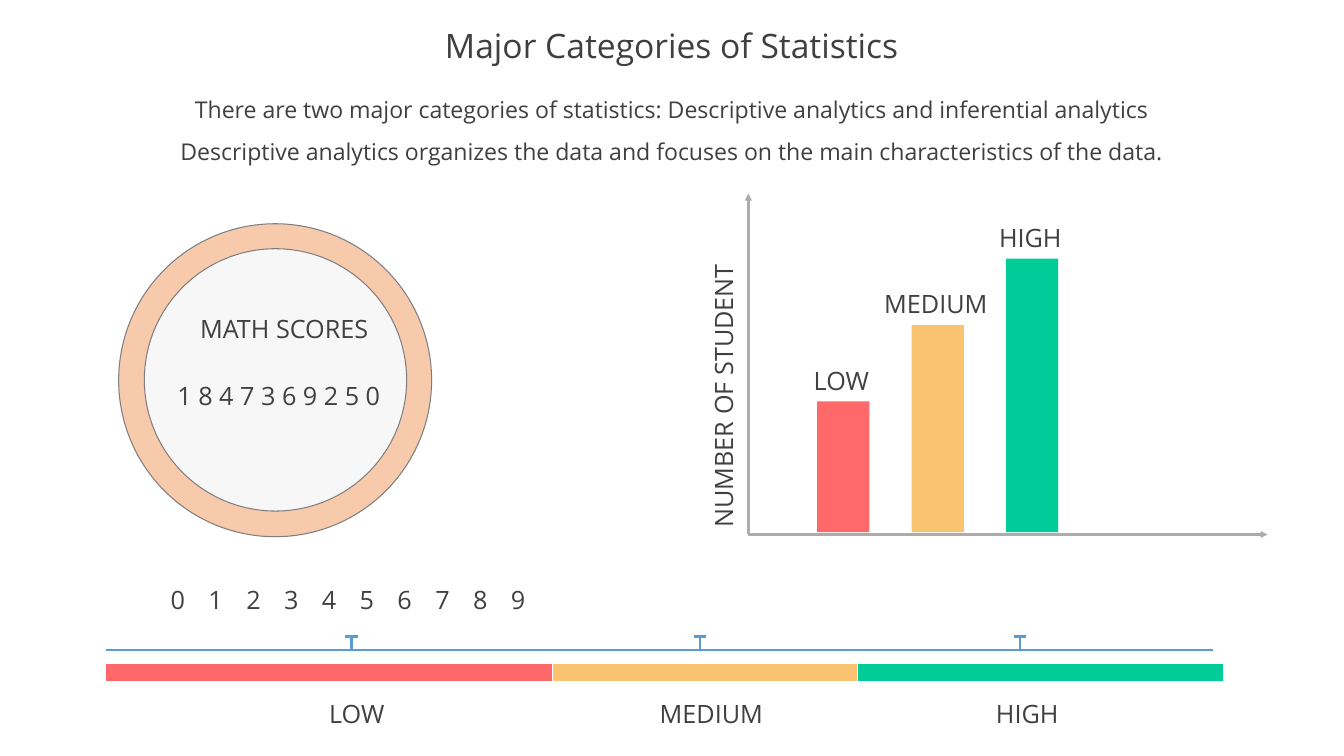
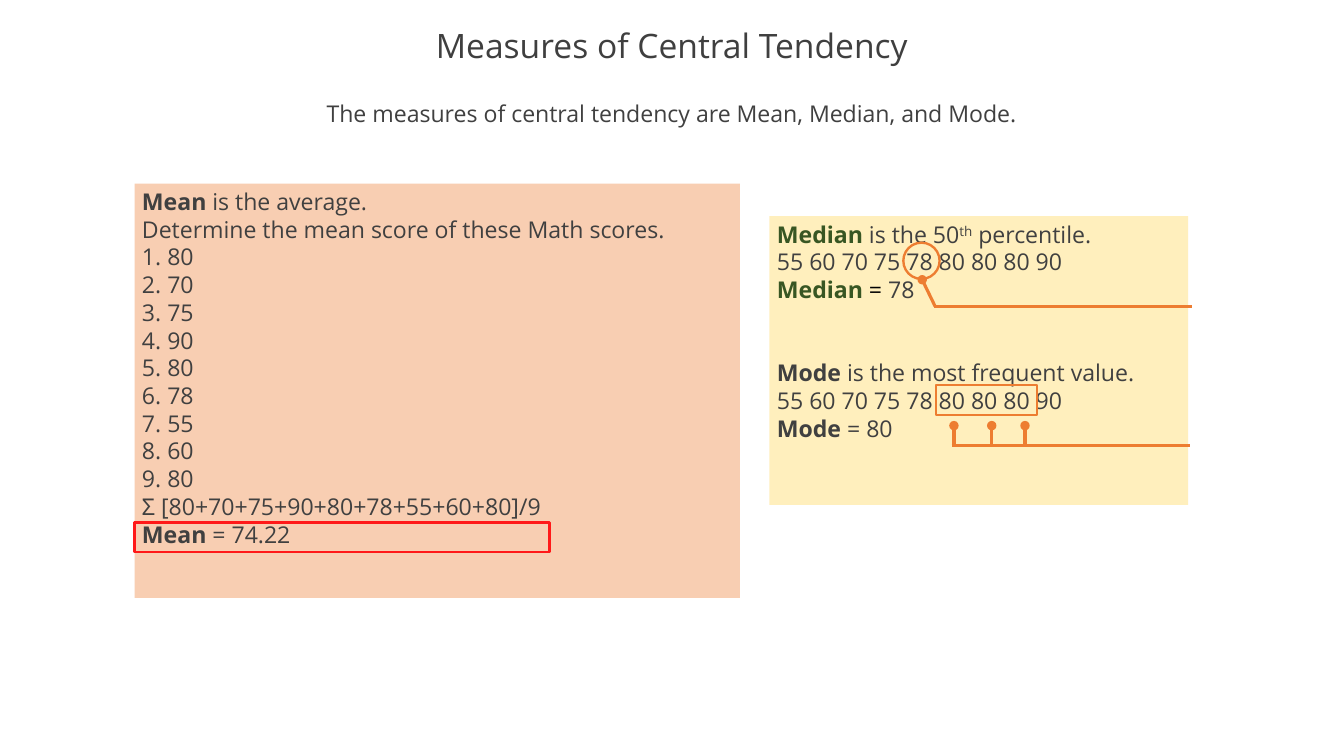
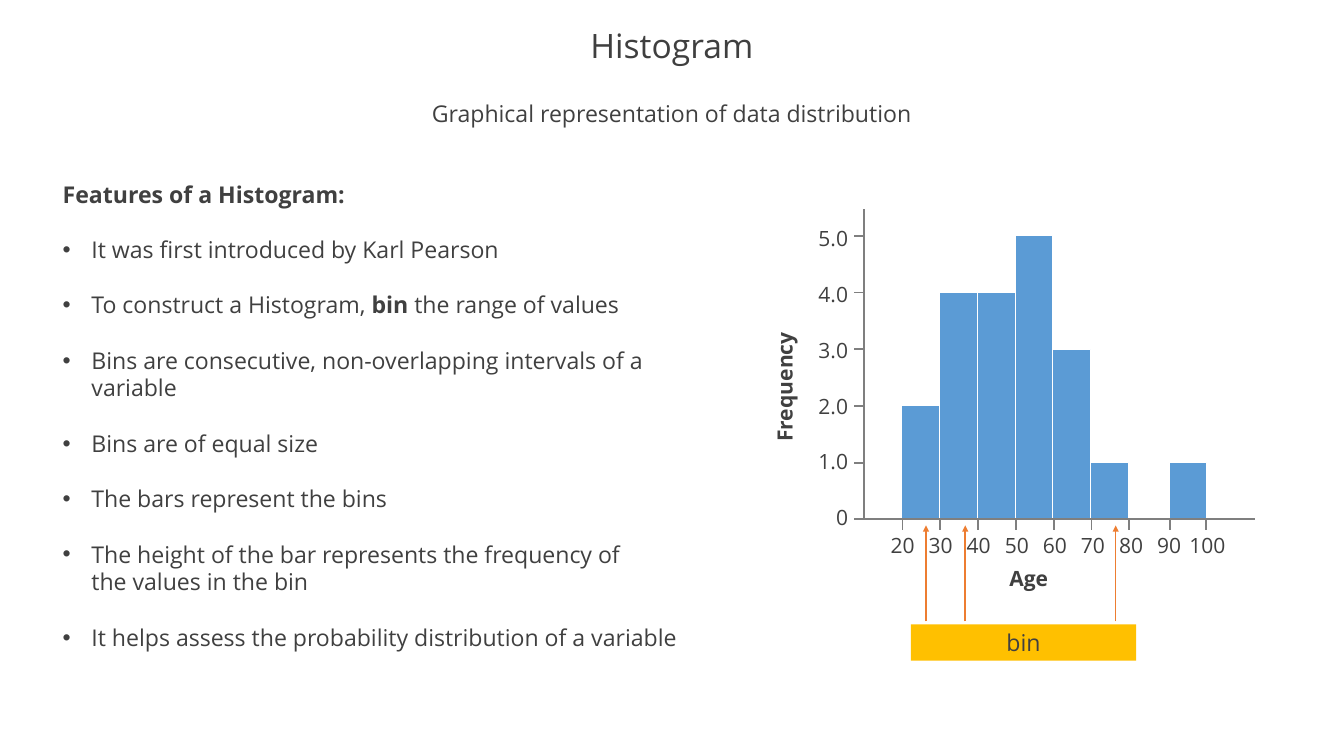
"""Build three statistics slides: categories, central tendency and histogram."""
from dataclasses import dataclass
from typing import Optional

from lxml import etree
from pptx import Presentation
from pptx.dml.color import RGBColor
from pptx.enum.shapes import MSO_CONNECTOR, MSO_SHAPE
from pptx.enum.text import MSO_ANCHOR, MSO_AUTO_SIZE, PP_ALIGN
from pptx.oxml.ns import qn
from pptx.util import Inches, Pt

RECTANGLE, OVAL = MSO_SHAPE.RECTANGLE, MSO_SHAPE.OVAL
STRAIGHT = MSO_CONNECTOR.STRAIGHT
TOP, MIDDLE = MSO_ANCHOR.TOP, MSO_ANCHOR.MIDDLE
LEFT, CENTER, RIGHT = PP_ALIGN.LEFT, PP_ALIGN.CENTER, PP_ALIGN.RIGHT

COLUMNS, ROWS = 17.78, 10
CELL = Inches(1)
FONT = "Open Sans"
BODY_SIZE, LABEL_SIZE, AXIS_SIZE, TITLE_SIZE = 22, 24, 20, 32
BODY_LINE = 26.4
INDENT = 0.38
TITLE_AND_BODY, TITLE_AND_TWO_BODIES = 1, 3

COLORS = {
    "text": "404040", "title": "3F3F3F", "black": "000000", "green_text": "385623",
    "low": "FF6969", "medium": "FAC36F", "high": "00CC99",
    "ring": "F7CAAC", "disc": "F7F7F7", "gray": "7F7F7F", "axis": "AEABAB",
    "blue": "5B9BD5", "white": "FFFFFF", "orange": "ED7D31", "red": "FF1919",
    "mean": "F8CEB2", "median": "FFEFBD", "bin": "FFC000",
}


@dataclass(frozen=True)
class Box:
    """A place on the grid, in columns and rows."""
    left: float
    top: float
    width: float
    height: float

    def lengths(self) -> tuple:
        """Return the place as slide lengths."""
        return tuple(round(CELL * value) for value in (self.left, self.top, self.width, self.height))


@dataclass(frozen=True)
class Run:
    """A piece of text with its own look."""
    text: str
    bold: bool = False
    color: Optional[str] = None
    raised: bool = False


@dataclass(frozen=True)
class Paragraph:
    """A line made of runs, with the gap above it in points."""
    runs: tuple
    before: float = 0
    bullet: bool = False


@dataclass(frozen=True)
class Level:
    """A score level with its bar, band and pointer."""
    name: str
    color: str
    bar_height: float
    band_left: float
    band_right: float
    pointer: float
    label_center: float


LEVELS = (
    Level("LOW", "low", 1.73, 1.4, 7.31, 4.65, 4.72),
    Level("MEDIUM", "medium", 2.74, 7.31, 11.34, 9.26, 9.41),
    Level("HIGH", "high", 3.62, 11.34, 16.18, 13.49, 13.59),
)


def rgb(name: str) -> RGBColor:
    """Look up a colour."""
    return RGBColor.from_string(COLORS[name])


def add_bullet(properties, bullet: bool) -> None:
    """Give a paragraph a hanging bullet, or none."""
    indent = round(CELL * INDENT) if bullet else 0
    properties.set("marL", str(indent))
    properties.set("indent", str(-indent))
    if bullet:
        color = etree.SubElement(properties, qn("a:buClr"))
        etree.SubElement(color, qn("a:srgbClr")).set("val", COLORS["text"])
        etree.SubElement(properties, qn("a:buFont")).set("typeface", "Arial")
        etree.SubElement(properties, qn("a:buChar")).set("char", "•")
    else:
        etree.SubElement(properties, qn("a:buNone"))


def write_text(shape, content, *, size: float = BODY_SIZE, color: str = "text", bold: bool = False,
               alignment=LEFT, anchor=TOP, inset: float = 0.1, line_spacing: float = 1,
               tabs: tuple = ()) -> None:
    """Fill a shape with a string or a list of paragraphs."""
    frame = shape.text_frame
    frame.word_wrap = True
    frame.auto_size = MSO_AUTO_SIZE.NONE
    frame.vertical_anchor = anchor
    frame.margin_left = frame.margin_right = Inches(inset)
    frame.margin_top = frame.margin_bottom = Inches(0.05)
    lines = [Paragraph((Run(content, bold),))] if isinstance(content, str) else content
    for number, line in enumerate(lines):
        paragraph = frame.add_paragraph() if number else frame.paragraphs[0]
        paragraph.alignment = alignment
        paragraph.line_spacing = line_spacing
        paragraph.space_before = Pt(line.before)
        paragraph.space_after = Pt(0)
        properties = paragraph._p.get_or_add_pPr()
        add_bullet(properties, line.bullet)
        if tabs:
            stops = etree.SubElement(properties, qn("a:tabLst"))
            for position in tabs:
                stop = etree.SubElement(stops, qn("a:tab"))
                stop.set("pos", str(round(CELL * position)))
                stop.set("algn", "l")
        for piece in line.runs:
            for part, text in enumerate(piece.text.split("\v")):
                if part:
                    paragraph.add_line_break()
                run = paragraph.add_run()
                run.text = text
                run.font.name = FONT
                run.font.size = Pt(size)
                run.font.bold = piece.bold
                run.font.color.rgb = rgb(piece.color or color)
                if piece.raised:
                    run._r.get_or_add_rPr().set("baseline", "30000")


def add_label(slide, box: Box, content, *, rotation: float = 0, **text_format) -> None:
    """Add a text box."""
    shape = slide.shapes.add_textbox(*box.lengths())
    shape.rotation = rotation
    write_text(shape, content, **text_format)


def add_figure(slide, kind, box: Box, *, fill: Optional[str] = None, line: Optional[str] = None,
               weight: float = 1):
    """Add a flat preset shape."""
    shape = slide.shapes.add_shape(kind, *box.lengths())
    shape.shadow.inherit = False
    if fill:
        shape.fill.solid()
        shape.fill.fore_color.rgb = rgb(fill)
    else:
        shape.fill.background()
    if line:
        shape.line.color.rgb = rgb(line)
        shape.line.width = Pt(weight)
    else:
        shape.line.fill.background()
    return shape


def add_line(slide, start: tuple, end: tuple, *, color: str, weight: float,
             tail: Optional[str] = None) -> None:
    """Add a straight line with an optional end mark."""
    ends = [round(CELL * value) for value in (*start, *end)]
    connector = slide.shapes.add_connector(STRAIGHT, *ends)
    connector.line.color.rgb = rgb(color)
    connector.line.width = Pt(weight)
    if tail:
        etree.SubElement(connector.line._get_or_add_ln(), qn("a:tailEnd")).set("type", tail)
    etree.SubElement(connector._element.spPr, qn("a:effectLst"))


def place_text(shape, box: Box, content, **text_format) -> None:
    """Move a placeholder and write in it."""
    shape.left, shape.top, shape.width, shape.height = box.lengths()
    write_text(shape, content, **text_format)


def add_titled_slide(presentation, title: str, subtitle, *, subtitle_top: float = 1.26,
                     layout: int = TITLE_AND_BODY):
    """Add a slide with the shared title and subtitle."""
    slide = presentation.slides.add_slide(presentation.slide_layouts[layout])
    place_text(slide.shapes.title, Box(0, 0.25, COLUMNS, 0.75), title, size=TITLE_SIZE,
               color="title", alignment=CENTER, anchor=MIDDLE, line_spacing=0.9)
    place_text(slide.placeholders[1], Box(0.97, subtitle_top, 15.83, 1.22), subtitle,
               alignment=CENTER)
    return slide


def draw_level_chart(slide) -> None:
    """Draw the bars of student numbers and their axes."""
    origin = (9.9, 7.07)
    bar_left, bar_width, bar_step, base = 10.81, 0.69, 1.25, 7.04
    add_line(slide, origin, (9.9, 2.56), color="axis", weight=2.25, tail="triangle")
    add_line(slide, origin, (16.77, 7.07), color="axis", weight=2.25, tail="triangle")
    for number, level in enumerate(LEVELS):
        left, top = bar_left + number * bar_step, base - level.bar_height
        add_figure(slide, RECTANGLE, Box(left, top, bar_width, level.bar_height), fill=level.color)
        add_label(slide, Box(left + bar_width / 2 - 0.83, top - 0.53, 1.61, 0.51), level.name,
                  size=LABEL_SIZE, alignment=CENTER, inset=0)
    add_label(slide, Box(7.61, 4.87, 3.91, 0.5), "NUMBER OF STUDENT", rotation=270, size=LABEL_SIZE)


def draw_score_scale(slide) -> None:
    """Draw the number line with its three bands."""
    line_top, pointer_top, half_cap = 8.6, 8.42, 0.08
    add_label(slide, Box(2.16, 7.68, 14.48, 0.5), "\t".join(str(score) for score in range(10)),
              size=LABEL_SIZE, tabs=(1.49, 2.8, 4.2, 5.52, 6.92, 8.31, 9.98, 11.29, 12.77))
    add_line(slide, (1.4, line_top), (16.05, line_top), color="blue", weight=2.25)
    for level in LEVELS:
        band = Box(level.band_left, 8.77, level.band_right - level.band_left, 0.24)
        add_figure(slide, RECTANGLE, band, fill=level.color, line="white")
        add_line(slide, (level.pointer, line_top), (level.pointer, pointer_top),
                 color="blue", weight=2.25)
        add_line(slide, (level.pointer - half_cap, pointer_top),
                 (level.pointer + half_cap, pointer_top), color="blue", weight=2.25)
        add_label(slide, Box(level.label_center - 0.8, 9.19, 1.6, 0.51), level.name,
                  size=LABEL_SIZE, alignment=CENTER, inset=0)


def build_categories(presentation) -> None:
    """Build the slide on categories of statistics."""
    slide = add_titled_slide(presentation, "Major Categories of Statistics", [
        Paragraph((Run("There are two major categories of statistics: "
                       "Descriptive analytics and inferential analytics"),)),
        Paragraph((Run("Descriptive analytics organizes the data and focuses on "
                       "the main characteristics of the data.", color="title"),), before=13.3),
    ], subtitle_top=1.21)
    add_figure(slide, OVAL, Box(1.57, 2.96, 4.14, 4.14), fill="ring", line="gray")
    add_figure(slide, OVAL, Box(1.91, 3.29, 3.47, 3.47), fill="disc", line="gray")
    draw_score_scale(slide)
    draw_level_chart(slide)
    add_label(slide, Box(2.23, 4.1, 3.06, 0.93), "MATH SCORES", size=LABEL_SIZE, alignment=CENTER)
    add_label(slide, Box(2.16, 4.98, 3.06, 0.93), "1 8 4 7 3 6 9 2 5 0", size=LABEL_SIZE,
              alignment=CENTER)


def build_central_tendency(presentation) -> None:
    """Build the slide on mean, median and mode."""
    slide = add_titled_slide(presentation, "Measures of Central Tendency",
                             "The measures of central tendency are Mean, Median, and Mode.")
    scores = (80, 70, 75, 90, 80, 78, 55, 60, 80)
    ranked = Paragraph((Run(" ".join(str(score) for score in sorted(scores))),))
    mean_panel = add_figure(slide, RECTANGLE, Box(1.78, 2.43, 8.01, 5.48), fill="mean")
    write_text(mean_panel, [
        Paragraph((Run("Mean", True), Run(" is the average."))),
        Paragraph((Run("Determine the mean score of these Math scores."),)),
        *(Paragraph((Run(f"{number}. {score}"),)) for number, score in enumerate(scores, 1)),
        Paragraph((Run(f"Ʃ [{'+'.join(str(score) for score in scores)}]/9"),)),
        Paragraph((Run("Mean", True), Run(" = 74.22"))),
    ])
    median_panel = add_figure(slide, RECTANGLE, Box(10.18, 2.86, 5.54, 3.82), fill="median")
    median = Run("Median ", True, "green_text")
    mode = Run("Mode ", True)
    write_text(median_panel, [
        Paragraph((median, Run("is the 50"), Run("th", raised=True), Run(" percentile."))),
        ranked,
        Paragraph((median, Run("= ", color="black"), Run("78"))),
        Paragraph((mode, Run("is the most frequent value.")), before=2 * BODY_LINE),
        ranked,
        Paragraph((mode, Run("= 80"))),
    ])
    add_figure(slide, RECTANGLE, Box(1.78, 6.91, 5.49, 0.39), line="red", weight=2.25)
    add_figure(slide, OVAL, Box(11.95, 3.21, 0.48, 0.48), line="orange", weight=2.25)
    add_figure(slide, RECTANGLE, Box(12.38, 5.09, 1.34, 0.4), line="orange", weight=2.25)
    add_line(slide, (12.35, 4.05), (15.77, 4.05), color="orange", weight=3)
    add_line(slide, (12.37, 4.05), (12.2, 3.7), color="orange", weight=3, tail="oval")
    add_line(slide, (12.59, 5.89), (15.74, 5.89), color="orange", weight=3)
    for column in (12.62, 13.12, 13.56):
        add_line(slide, (column, 5.89), (column, 5.63), color="orange", weight=3, tail="oval")


def draw_histogram(slide) -> None:
    """Draw the age histogram with ticks and labels."""
    first, base, bin_width, unit, axis_left = 11.93, 6.87, 0.5, 0.75, 11.43
    bars = ((0, 2), (1, 4), (2, 4), (3, 5), (4, 3), (5, 1), (7.07, 1))
    for position, frequency in bars:
        height = frequency * unit
        add_figure(slide, RECTANGLE,
                   Box(first + position * bin_width, base - height, bin_width, height),
                   fill="blue", line="white")
    add_line(slide, (axis_left, base), (16.6, base), color="gray", weight=1.75)
    add_line(slide, (axis_left, base), (axis_left, 2.77), color="gray", weight=1.75)
    for frequency in range(6):
        row = base - frequency * unit
        add_line(slide, (axis_left, row), (11.3, row), color="gray", weight=1.75)
        add_label(slide, Box(10.62, 6.63 - frequency * 0.74, 0.6, 0.44),
                  f"{frequency}.0" if frequency else "0",
                  size=AXIS_SIZE, alignment=RIGHT, inset=0)
    for number, position in enumerate((0, 1, 2, 3, 4, 5, 6, 7.07, 8.04)):
        column = first + 0.01 + position * bin_width
        add_line(slide, (column, base), (column, 7.01), color="gray", weight=1.75)
        add_label(slide, Box(11.64 + number * 0.504, 6.99, 0.6, 0.44), str(20 + 10 * number),
                  size=AXIS_SIZE, alignment=CENTER, inset=0)
    add_label(slide, Box(13.25, 7.43, 0.72, 0.44), "Age", size=AXIS_SIZE, bold=True,
              alignment=CENTER, inset=0)
    add_label(slide, Box(9.55, 4.89, 1.66, 0.44), "Frequency", rotation=270, size=AXIS_SIZE,
              bold=True)


def build_histogram(presentation) -> None:
    """Build the slide on histograms."""
    slide = add_titled_slide(presentation, "Histogram",
                             "Graphical representation of data distribution",
                             layout=TITLE_AND_TWO_BODIES)
    features = (
        (Run("It was first introduced by Karl Pearson"),),
        (Run("To construct a Histogram, "), Run("bin", True), Run(" the range of values")),
        (Run("Bins are consecutive, non-overlapping intervals of a\vvariable"),),
        (Run("Bins are of equal size"),),
        (Run("The bars represent the bins"),),
        (Run("The height of the bar represents the frequency of\vthe values in the bin"),),
        (Run("It helps assess the probability distribution of a variable"),),
    )
    place_text(slide.placeholders[2], Box(0.73, 2.33, 8.6, 5.54), [
        Paragraph((Run("Features of a Histogram:", True),)),
        *(Paragraph(runs, before=BODY_LINE, bullet=True) for runs in features),
    ])
    bin_box = add_figure(slide, RECTANGLE, Box(12.05, 8.26, 2.98, 0.48), fill="bin")
    write_text(bin_box, "bin", alignment=CENTER)
    draw_histogram(slide)
    for column in (12.25, 12.77, 14.76):
        add_line(slide, (column, 8.22), (column, 6.95), color="orange", weight=1.5,
                 tail="triangle")


def main() -> None:
    """Build and save the presentation."""
    presentation = Presentation()
    presentation.slide_width = round(CELL * COLUMNS)
    presentation.slide_height = CELL * ROWS
    build_categories(presentation)
    build_central_tendency(presentation)
    build_histogram(presentation)
    presentation.save("out.pptx")


if __name__ == "__main__":
    main()
